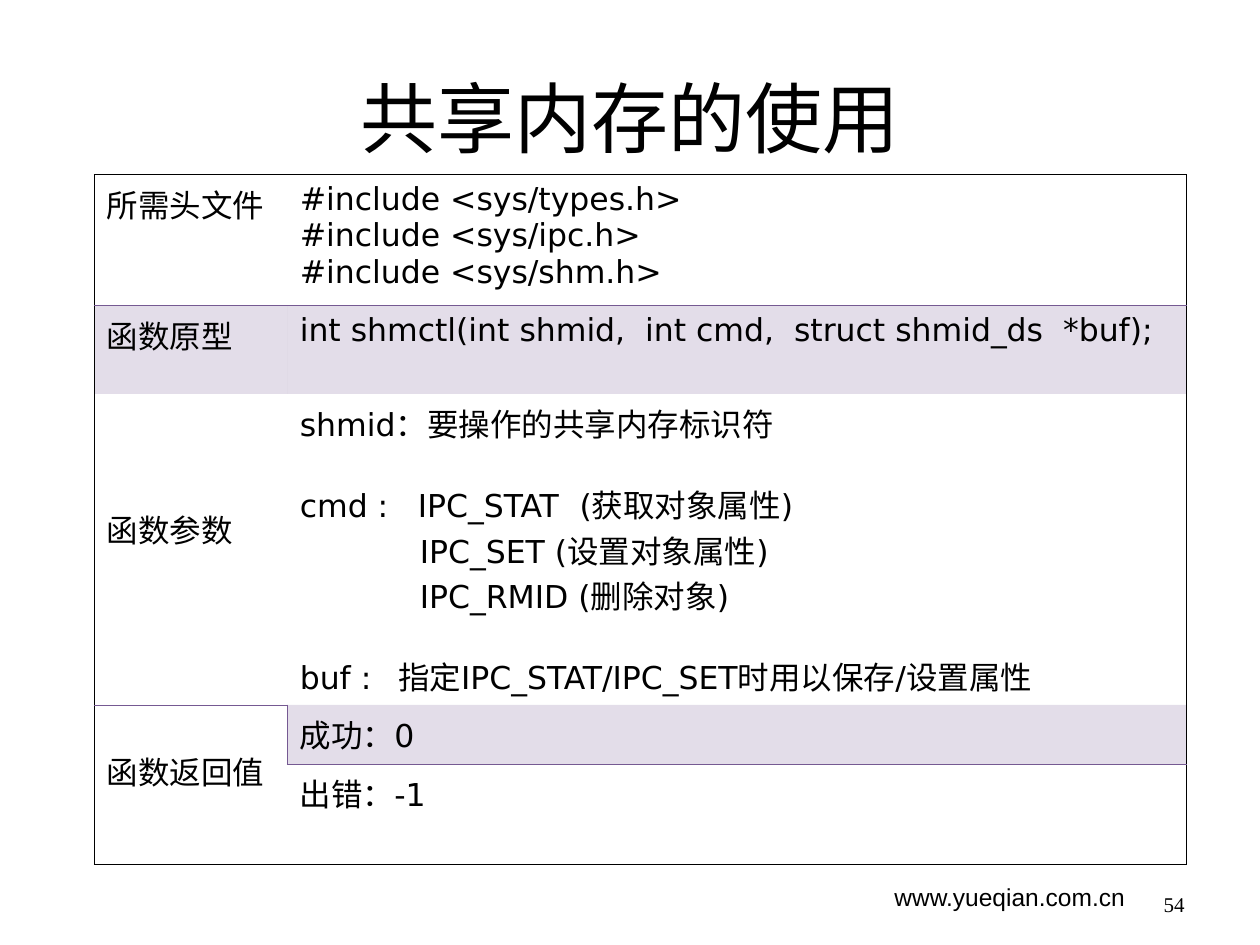
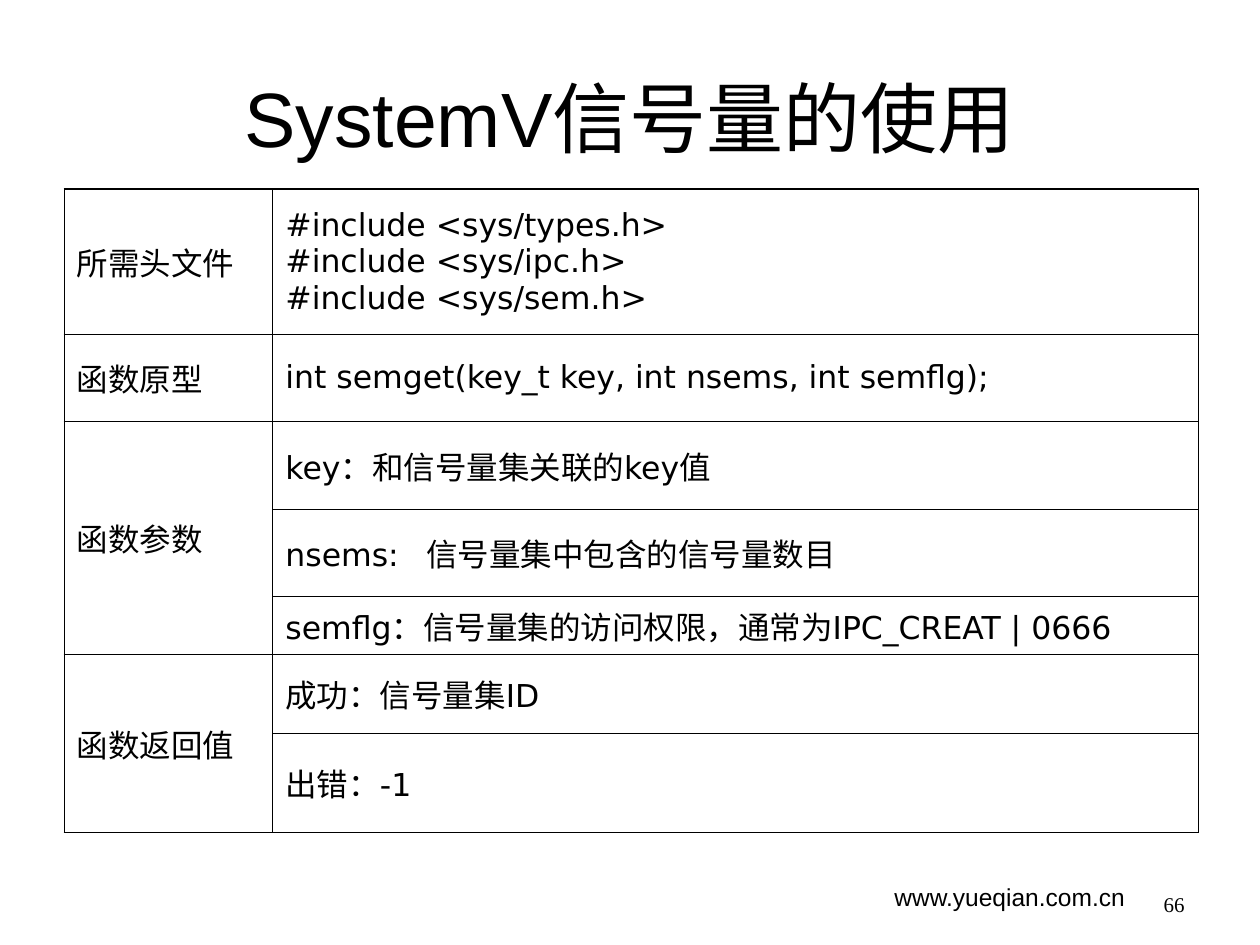
from dataclasses import dataclass
from itertools import product

from lxml.etree import SubElement
from pptx import Presentation
from pptx.dml.color import RGBColor
from pptx.enum.shapes import MSO_CONNECTOR
from pptx.enum.text import MSO_ANCHOR, PP_ALIGN
from pptx.oxml import parse_xml
from pptx.oxml.ns import nsdecls, qn
from pptx.util import Cm, Pt

BLACK, PURPLE = "000000", "755992"
TITLE_FONT, TABLE_FONT, NUMBER_FONT = "Arial", "DejaVu Sans", "Times New Roman"
SITE = "www.yueqian.com.cn"


@dataclass
class Line:
    text: str
    tabs: tuple = ()
    indent: float = 0
    gap: int = 0


@dataclass
class Entry:
    row: int
    column: int
    lines: list
    span: int = 1
    top: float = 0.13
    shaded: bool = False


def colour(value):
    return RGBColor.from_string(value)


def set_font(paragraph, size, font):
    for run in paragraph.runs:
        run.font.size = Pt(size)
        run.font.name = font
        run.font.color.rgb = colour(BLACK)


def add_label(slide, text, box, size, font, align=PP_ALIGN.LEFT, anchor=MSO_ANCHOR.TOP):
    frame = slide.shapes.add_textbox(*map(Cm, box)).text_frame
    frame.word_wrap = True
    frame.vertical_anchor = anchor
    frame.text = text
    frame.paragraphs[0].alignment = align
    set_font(frame.paragraphs[0], size, font)


def add_dot(slide, x, y):
    dot = slide.shapes.add_connector(MSO_CONNECTOR.STRAIGHT, Cm(x), Cm(y), Cm(x), Cm(y))
    dot.line.color.rgb = colour(BLACK)
    dot.line.width = Pt(1)
    SubElement(dot._element.spPr, qn("a:effectLst"))


def add_page(deck, title, number):
    slide = deck.slides.add_slide(deck.slide_layouts[6])
    add_label(slide, SITE, (17.78, 17.65, 6.35, 1.02), 14, TITLE_FONT)
    add_label(slide, title, (1.27, 0.76, 22.86, 3.18), 44, TITLE_FONT,
              PP_ALIGN.CENTER, MSO_ANCHOR.MIDDLE)
    add_label(slide, number, (18.21, 17.34, 5.92, 1.27), 12, NUMBER_FONT,
              PP_ALIGN.RIGHT, MSO_ANCHOR.BOTTOM)
    return slide


def write_lines(cell, lines):
    frame = cell.text_frame
    for position, line in enumerate(lines):
        paragraph = frame.add_paragraph() if position else frame.paragraphs[0]
        paragraph.text = line.text
        if line.gap:
            paragraph.space_before = Pt(line.gap)
        properties = paragraph._p.get_or_add_pPr()
        if line.indent:
            properties.set("marL", str(Cm(line.indent)))
            properties.set("indent", "0")
        if line.tabs:
            stops = SubElement(properties, qn("a:tabLst"))
            for stop in line.tabs:
                SubElement(stops, qn("a:tab"), pos=str(Cm(stop)), algn="l")
        set_font(paragraph, 18, TABLE_FONT)


def shade(cell):
    cell.fill.solid()
    cell.fill.fore_color.rgb = colour(PURPLE)
    rgb = next(cell._tc.tcPr.iter(qn("a:srgbClr")))
    SubElement(rgb, qn("a:alpha"), val="20000")


def set_borders(cell, edges):
    properties = cell._tc.get_or_add_tcPr()
    for position, (side, edge) in enumerate(zip("LRTB", edges)):
        if edge:
            value, width = edge
            size = f' w="{Pt(width)}"'
            paint = f'<a:solidFill><a:srgbClr val="{value}"/></a:solidFill>'
        else:
            size, paint = "", "<a:noFill/>"
        border = f'<a:ln{side}{size} {nsdecls("a")}>{paint}</a:ln{side}>'
        properties.insert(position, parse_xml(border))


def frame_edges(rows, side_width, end_width):
    edges = {}
    for row in range(rows):
        edges["left", row, 0] = edges["left", row, 2] = (BLACK, side_width)
    for column in range(2):
        edges["top", 0, column] = edges["top", rows, column] = (BLACK, end_width)
    return edges


def add_function_table(slide, origin, widths, heights, entries, edges, anchor):
    left, top = origin
    table = slide.shapes.add_table(len(heights), len(widths), Cm(left), Cm(top),
                                   Cm(sum(widths)), Cm(sum(heights))).table
    table.first_row = table.horz_banding = False
    for column, width in zip(table.columns, widths):
        column.width = Cm(width)
    for row, height in zip(table.rows, heights):
        row.height = Cm(height)
    for entry in entries:
        cell = table.cell(entry.row, entry.column)
        if entry.span > 1:
            cell.merge(table.cell(entry.row + entry.span - 1, entry.column))
        cell.vertical_anchor = anchor
        cell.margin_top = Cm(entry.top)
        write_lines(cell, entry.lines)
    shaded = {(entry.row, entry.column) for entry in entries if entry.shaded}
    for row, column in product(range(len(heights)), range(len(widths))):
        cell = table.cell(row, column)
        if (row, column) in shaded:
            shade(cell)
        else:
            cell.fill.background()
        below = row + (cell.span_height if cell.is_merge_origin else 1)
        keys = (("left", row, column), ("left", row, column + 1),
                ("top", row, column), ("top", below, column))
        set_borders(cell, [edges.get(key) for key in keys])


def include_lines(header):
    return [Line(f"#include <sys/{name}.h>") for name in ("types", "ipc", header)]


def add_shared_memory(deck):
    slide = add_page(deck, "共享内存的使用", "54")
    for y in (8.59, 10.64):
        add_dot(slide, 9.4, y)
    parameters = [
        Line("shmid：要操作的共享内存标识符"),
        Line("cmd :\tIPC_STAT\t(获取对象属性)", tabs=(2.38, 5.64), gap=20),
        Line("IPC_SET (设置对象属性)", indent=2.42),
        Line("IPC_RMID (删除对象)", indent=2.42),
        Line("buf :\t指定IPC_STAT/IPC_SET时用以保存/设置属性", tabs=(1.98,), gap=20),
    ]
    prototype = "int shmctl(int shmid,  int cmd,  struct shmid_ds  *buf);"
    entries = [
        Entry(0, 0, [Line("所需头文件")]),
        Entry(0, 1, include_lines("shm")),
        Entry(1, 0, [Line("函数原型")], shaded=True),
        Entry(1, 1, [Line(prototype)], shaded=True),
        Entry(2, 0, [Line("函数参数")], top=2.26),
        Entry(2, 1, parameters),
        Entry(3, 0, [Line("函数返回值")], span=2, top=0.86),
        Entry(3, 1, [Line("成功：0")], shaded=True),
        Entry(4, 1, [Line("出错：-1")]),
    ]
    heights = (2.64, 1.78, 6.27, 1.19, 2.03)
    edges = frame_edges(len(heights), 0.45, 0.45)
    for key in (("top", 1, 0), ("top", 1, 1), ("top", 3, 0), ("top", 4, 1), ("left", 3, 1)):
        edges[key] = (PURPLE, 0.45)
    add_function_table(slide, (1.9, 3.52), (3.89, 18.13), heights, entries, edges,
                       MSO_ANCHOR.TOP)


def add_semaphore(deck):
    slide = add_page(deck, "SystemV信号量的使用", "66")
    entries = [
        Entry(0, 0, [Line("所需头文件")]),
        Entry(0, 1, include_lines("sem")),
        Entry(1, 0, [Line("函数原型")]),
        Entry(1, 1, [Line("int semget(key_t key, int nsems, int semflg);")]),
        Entry(2, 0, [Line("函数参数")], span=3),
        Entry(2, 1, [Line("key：和信号量集关联的key值")]),
        Entry(3, 1, [Line("nsems:\t信号量集中包含的信号量数目", tabs=(2.84,))]),
        Entry(4, 1, [Line("semflg：信号量集的访问权限，通常为IPC_CREAT | 0666")]),
        Entry(5, 0, [Line("函数返回值")], span=2),
        Entry(5, 1, [Line("成功：信号量集ID")]),
        Entry(6, 1, [Line("出错：-1")]),
    ]
    heights = (2.93, 1.76, 1.77, 1.75, 1.17, 1.59, 2)
    edges = {("left", row, 1): (BLACK, 0.45) for row in range(len(heights))}
    edges.update({("top", entry.row, entry.column): (BLACK, 0.45) for entry in entries})
    edges.update(frame_edges(len(heights), 0.34, 0.96))
    add_function_table(slide, (1.29, 3.81), (4.21, 18.66), heights, entries, edges,
                       MSO_ANCHOR.MIDDLE)


def main():
    deck = Presentation()
    deck.slide_width, deck.slide_height = Cm(25.4), Cm(19.05)
    add_shared_memory(deck)
    add_semaphore(deck)
    deck.save("out.pptx")


if __name__ == "__main__":
    main()
